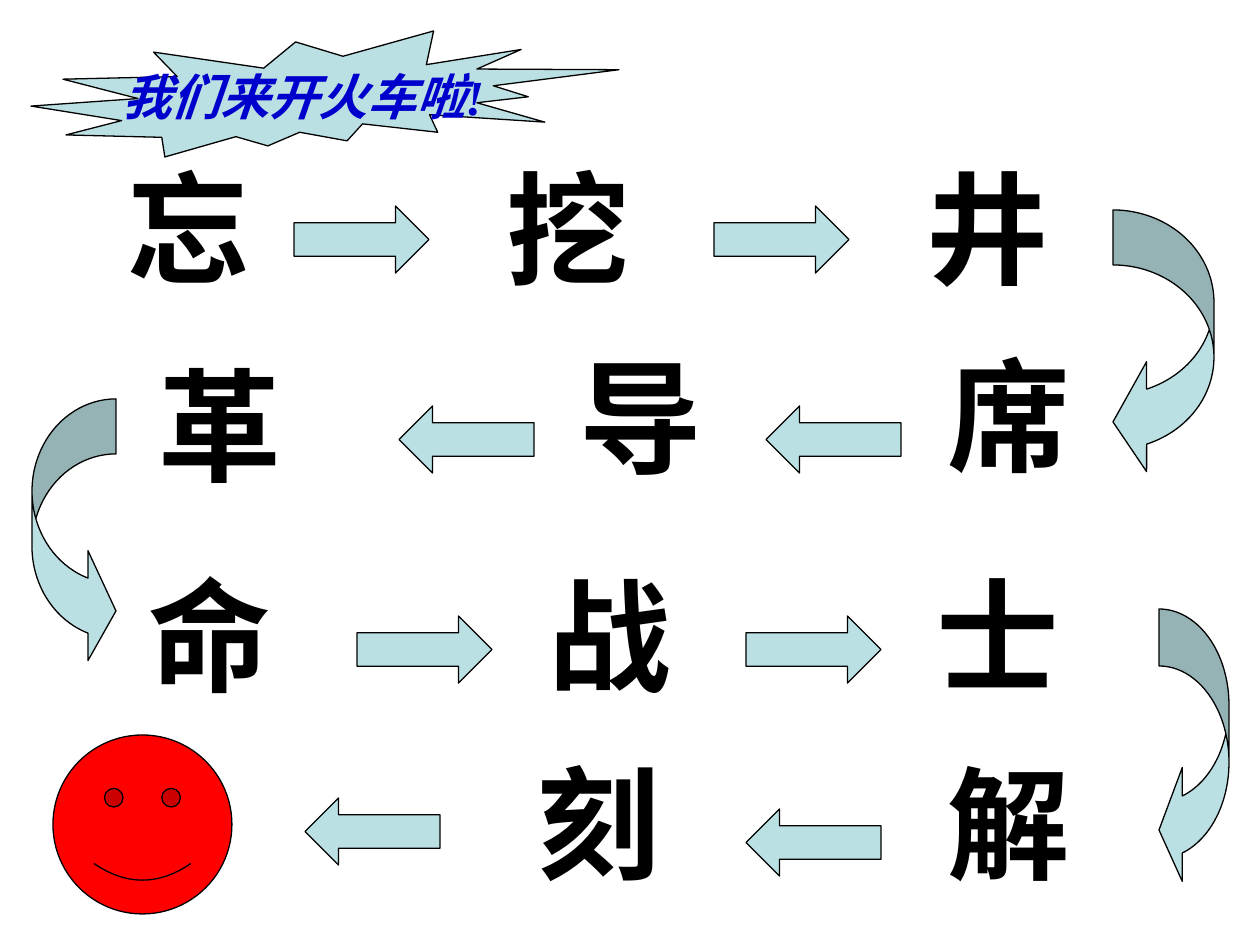
import pptx
import pptx.util
import pptx.dml.color
import pptx.enum.shapes
import pptx.enum.text

RGBColor = pptx.dml.color.RGBColor
Shape = pptx.enum.shapes.MSO_SHAPE
Anchor = pptx.enum.text.MSO_ANCHOR
Align = pptx.enum.text.PP_ALIGN
AutoSize = pptx.enum.text.MSO_AUTO_SIZE

PALE_TEAL = RGBColor(0xBB, 0xE0, 0xE3)
RED = RGBColor(0xFF, 0x00, 0x00)
BLUE = RGBColor(0x00, 0x00, 0xCC)
BLACK = RGBColor(0x00, 0x00, 0x00)
FONT = "Times New Roman"

PX_PER_INCH = 126
ARROW_SIZE = (135, 67)
CHARACTER_SIZE = (147, 160)

STRAIGHT_ARROWS = [
    (Shape.RIGHT_ARROW, [(294, 206), (714, 206), (357, 616), (746, 616)]),
    (Shape.LEFT_ARROW, [(766, 406), (399, 406), (305, 798), (746, 809)]),
]

# kind, left, top, width, height, shaft thickness
TURNS = [
    (Shape.CURVED_LEFT_ARROW, 1113, 210, 101, 267, 55),
    (Shape.CURVED_RIGHT_ARROW, 32, 399, 84, 267, 55),
    (Shape.CURVED_LEFT_ARROW, 1159, 609, 70, 278, 57),
]

# character, left, top, in train order
CHARACTERS = [
    ("忘", 115, 147), ("挖", 494, 147), ("井", 914, 147),
    ("席", 935, 334), ("导", 567, 336), ("革", 146, 344),
    ("命", 136, 554), ("战", 536, 554), ("士", 924, 554),
    ("解", 935, 742), ("刻", 525, 742),
]


def px(value):
    return pptx.util.Emu(round(value * 914400 / PX_PER_INCH))


def write_text(frame, text, *, size, color=BLACK, italic=False, align=Align.LEFT,
               anchor=Anchor.TOP):
    frame.word_wrap = False
    frame.vertical_anchor = anchor
    paragraph = frame.paragraphs[0]
    paragraph.alignment = align
    run = paragraph.add_run()
    run.text = text
    run.font.name = FONT
    run.font.size = pptx.util.Pt(size)
    run.font.bold = True
    run.font.italic = italic
    run.font.color.rgb = color


def add_figure(slide, kind, left, top, width, height, fill=PALE_TEAL, adjustments=()):
    """Add a preset shape with a thin black outline."""
    shape = slide.shapes.add_shape(kind, px(left), px(top), px(width), px(height))
    shape.shadow.inherit = False
    shape.fill.solid()
    shape.fill.fore_color.rgb = fill
    shape.line.color.rgb = BLACK
    shape.line.width = pptx.util.Pt(0.75)
    for index, value in enumerate(adjustments):
        shape.adjustments[index] = value
    return shape


def add_turn(slide, kind, left, top, width, height, thickness):
    """Add a curved arrow whose head is twice as wide as its shaft."""
    shaft = thickness / width
    add_figure(slide, kind, left, top, width, height,
               adjustments=(shaft, 2 * shaft, 1 / 3))


def add_character(slide, character, left, top):
    width, height = CHARACTER_SIZE
    box = slide.shapes.add_textbox(px(left), px(top), px(width), px(height))
    write_text(box.text_frame, character, size=70)
    box.text_frame.auto_size = AutoSize.SHAPE_TO_FIT_TEXT


def add_title(slide):
    burst = add_figure(slide, Shape.EXPLOSION2, 31, 31, 588, 126)
    write_text(burst.text_frame, "我们来开火车啦!", size=28, color=BLUE,
               italic=True, align=Align.CENTER, anchor=Anchor.MIDDLE)


def main():
    presentation = pptx.Presentation()
    presentation.slide_width = px(1260)
    presentation.slide_height = px(945)
    slide = presentation.slides.add_slide(presentation.slide_layouts[6])
    for kind, positions in STRAIGHT_ARROWS:
        for left, top in positions:
            add_figure(slide, kind, left, top, *ARROW_SIZE, adjustments=(0.5, 0.5))
    for turn in TURNS:
        add_turn(slide, *turn)
    for character in CHARACTERS:
        add_character(slide, *character)
    add_figure(slide, Shape.SMILEY_FACE, 53, 735, 179, 179, fill=RED,
               adjustments=(0.05,))
    add_title(slide)
    presentation.save("out.pptx")


if __name__ == "__main__":
    main()
